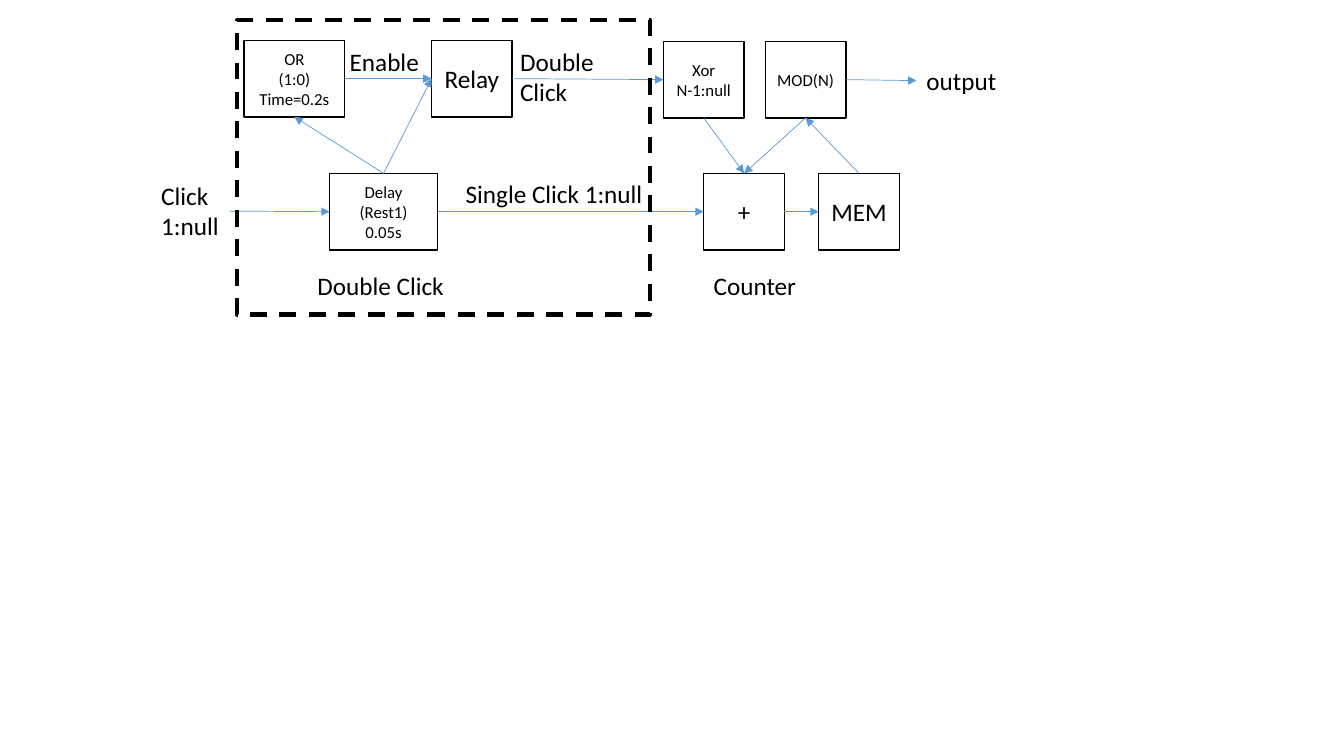
import pptx
import pptx.util
import pptx.dml.color
import pptx.enum.dml
import pptx.enum.shapes
import pptx.enum.text
import pptx.oxml.ns
from lxml import etree

Inches = pptx.util.Inches
Pt = pptx.util.Pt
BLACK = pptx.dml.color.RGBColor(0x00, 0x00, 0x00)
BLUE = pptx.dml.color.RGBColor(0x5B, 0x9B, 0xD5)
FONT = "Calibri"

BLOCK_HEIGHT = 0.76
TOP, LEFT, BOTTOM, RIGHT = range(4)  # connection sites of a rectangle

# key: (lines, left, top, width, text size)
BLOCKS = {
    "delay": (["Delay", "(Rest1)", "0.05s"], 3.27, 1.72, 1.07, 12),
    "or": (["OR", "(1:0)", "Time=0.2s"], 2.42, 0.4, 1.0, 12),
    "relay": (["Relay"], 4.28, 0.4, 0.8, 18),
    "xor": (["Xor", "N-1:null"], 6.58, 0.41, 0.8, 12),
    "plus": (["+"], 6.98, 1.72, 0.8, 18),
    "mem": (["MEM"], 8.12, 1.72, 0.8, 18),
    "mod": (["MOD(N)"], 7.59, 0.41, 0.8, 12),
}

# key: (lines, left, top, width, height)
LABELS = {
    "enable": (["Enable"], 3.37, 0.41, 0.9, 0.4),
    "click": (["Click", "1:null"], 1.5, 1.74, 0.78, 0.71),
    "double click group": (["Double Click"], 3.05, 2.63, 1.47, 0.4),
    "double click signal": (["Double", "Click"], 5.06, 0.41, 0.94, 0.71),
    "single click signal": (["Single Click 1:null"], 4.52, 1.72, 1.98, 0.4),
    "output": (["output"], 9.09, 0.6, 0.9, 0.4),
    "counter group": (["Counter"], 6.98, 2.63, 1.03, 0.4),
}

# (from, site, to, site)
ARROWS = [
    ("delay", TOP, "or", BOTTOM),
    ("delay", TOP, "relay", LEFT),
    ("or", RIGHT, "relay", LEFT),
    ("relay", RIGHT, "xor", LEFT),
    ("delay", RIGHT, "plus", LEFT),
    ("xor", BOTTOM, "plus", TOP),
    ("plus", RIGHT, "mem", LEFT),
    ("mem", TOP, "mod", BOTTOM),
    ("mod", RIGHT, "output", LEFT),
    ("mod", BOTTOM, "plus", TOP),
    ("click", RIGHT, "delay", LEFT),
]

DOUBLE_CLICK_FRAME = (2.35, 0.2, 4.1, 2.92)


def write(frame, lines, size=18, align=pptx.enum.text.PP_ALIGN.LEFT):
    frame.text = "\n".join(lines)
    for paragraph in frame.paragraphs:
        paragraph.alignment = align
        paragraph.font.name = FONT
        paragraph.font.size = Pt(size)
        paragraph.font.color.rgb = BLACK


def add_outline(slide, area, line_width):
    """Add an unfilled rectangle with a black border."""
    outline = slide.shapes.add_shape(
        pptx.enum.shapes.MSO_SHAPE.RECTANGLE, *map(Inches, area))
    outline.shadow.inherit = False
    outline.fill.background()
    outline.line.color.rgb = BLACK
    outline.line.width = Pt(line_width)
    return outline


def add_block(slide, lines, left, top, width, size):
    block = add_outline(slide, (left, top, width, BLOCK_HEIGHT), 1)
    block.text_frame.vertical_anchor = pptx.enum.text.MSO_ANCHOR.MIDDLE
    write(block.text_frame, lines, size=size,
          align=pptx.enum.text.PP_ALIGN.CENTER)
    return block


def add_label(slide, lines, *area):
    label = slide.shapes.add_textbox(*map(Inches, area))
    label.text_frame.word_wrap = False
    label.text_frame.auto_size = pptx.enum.text.MSO_AUTO_SIZE.SHAPE_TO_FIT_TEXT
    write(label.text_frame, lines)
    return label


def add_arrow(slide, source, source_site, target, target_site):
    arrow = slide.shapes.add_connector(
        pptx.enum.shapes.MSO_CONNECTOR.STRAIGHT, 0, 0, 0, 0)
    arrow.begin_connect(source, source_site)
    arrow.end_connect(target, target_site)
    arrow.line.color.rgb = BLUE
    arrow.line.width = Pt(0.5)
    qn = pptx.oxml.ns.qn
    etree.SubElement(arrow.line._get_or_add_ln(), qn("a:tailEnd"),
                     type="triangle")
    etree.SubElement(arrow._element.spPr, qn("a:effectLst"))


def main():
    deck = pptx.Presentation()
    deck.slide_width, deck.slide_height = Inches(13.33), Inches(7.5)
    slide = deck.slides.add_slide(deck.slide_layouts[6])

    nodes = {key: add_block(slide, *block) for key, block in BLOCKS.items()}
    for key, label in LABELS.items():
        nodes[key] = add_label(slide, *label)
    for source, source_site, target, target_site in ARROWS:
        add_arrow(slide, nodes[source], source_site,
                  nodes[target], target_site)

    frame = add_outline(slide, DOUBLE_CLICK_FRAME, 3)
    frame.line.dash_style = pptx.enum.dml.MSO_LINE.DASH
    deck.save("out.pptx")


if __name__ == "__main__":
    main()
